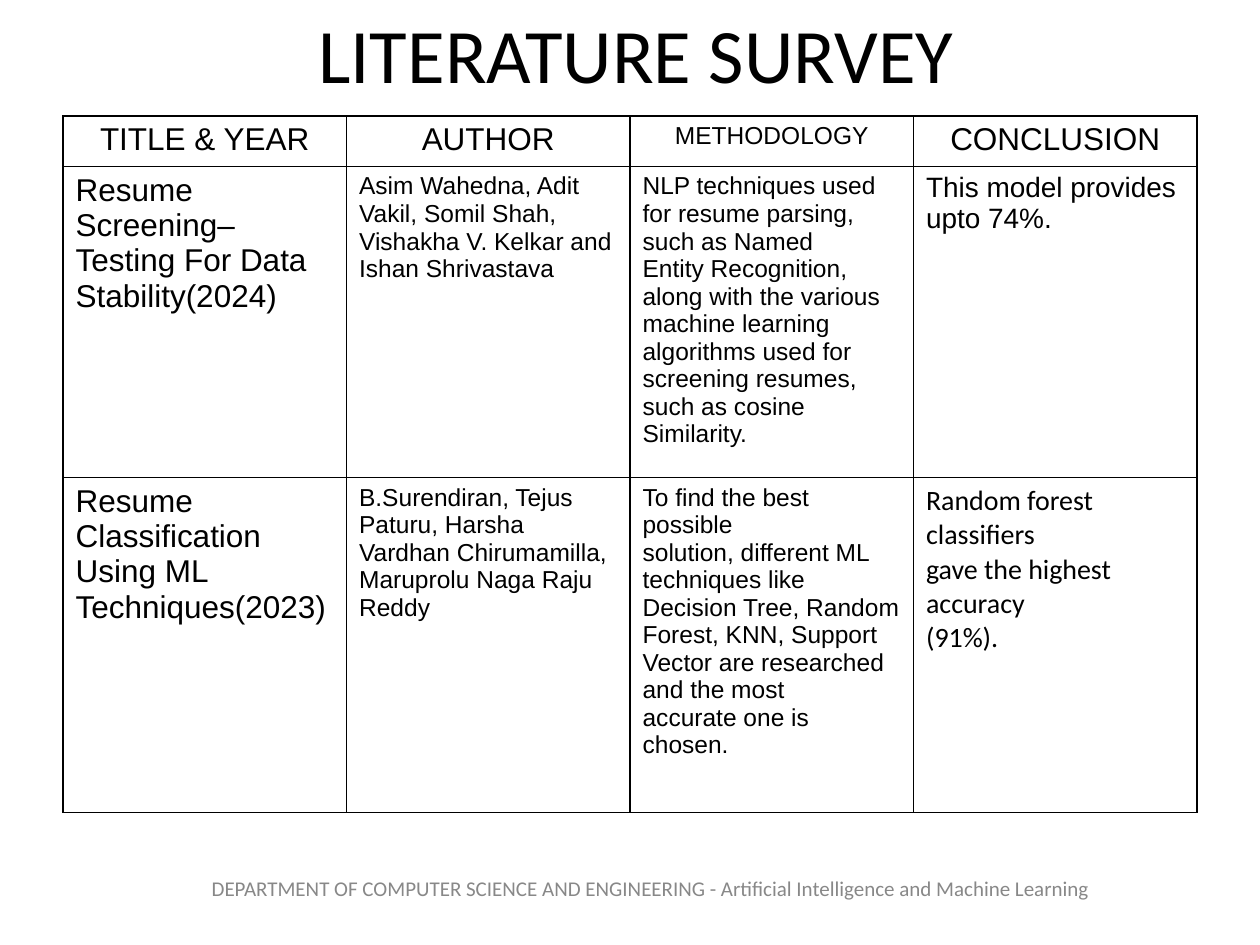
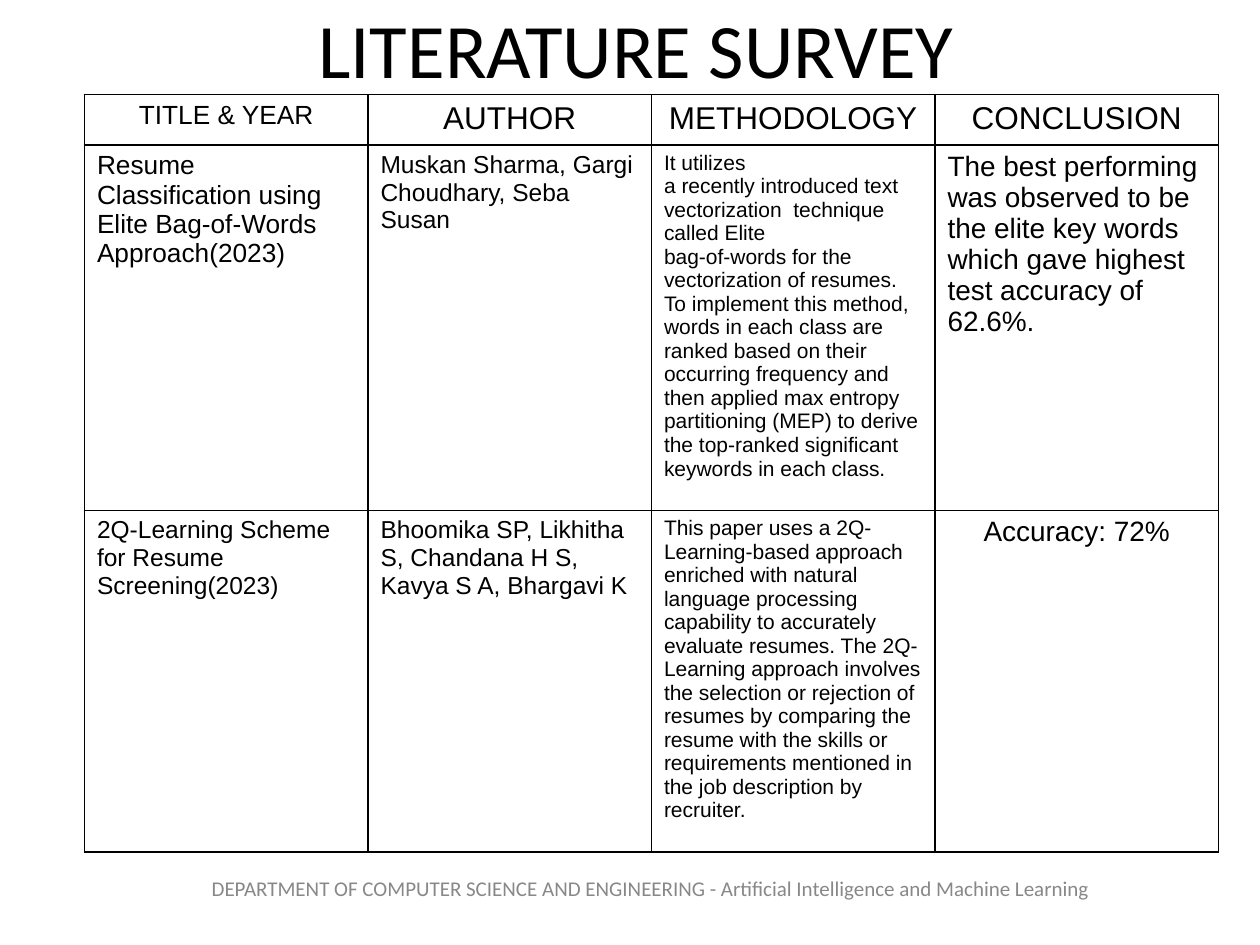
from dataclasses import dataclass

import pptx
import pptx.dml.color
import pptx.enum.text
import pptx.oxml
import pptx.oxml.ns
import pptx.util
from lxml import etree

ALIGN = pptx.enum.text.PP_ALIGN
ANCHOR = pptx.enum.text.MSO_ANCHOR

# Shared look and grid
WIDTH, HEIGHT = 10, 7.5
COLUMN = WIDTH * 0.225
BLACK, GREY = "000000", "888888"
TITLE = "LITERATURE SURVEY"
FOOTER = ("DEPARTMENT OF COMPUTER SCIENCE AND ENGINEERING - "
          "Artificial Intelligence and Machine Learning")
HEADINGS = ("TITLE & YEAR", "AUTHOR", "METHODOLOGY", "CONCLUSION")


@dataclass(frozen=True)
class Entry:
    """Text of one table cell; each line is a paragraph."""
    text: str
    size: int = 14
    font: str = "Arial"
    align: ALIGN = ALIGN.LEFT


@dataclass(frozen=True)
class Survey:
    """One slide of the survey, with lengths in inches."""
    title_top: float
    left: float
    top: float
    row_heights: tuple[float, ...]
    heading_sizes: tuple[int, ...]
    papers: tuple[tuple[Entry, ...], ...]


def colour(value: str) -> pptx.dml.color.RGBColor:
    return pptx.dml.color.RGBColor.from_string(value)


def place(sp, left: float, top: float, width: float, height: float) -> None:
    box = dict(left=left, top=top, width=width, height=height)
    for name, value in box.items():
        setattr(sp, name, pptx.util.Inches(value))


def write(tf, entry: Entry, ink: str = BLACK) -> None:
    tf.word_wrap = True
    for i, line in enumerate(entry.text.split("\n")):
        p = tf.paragraphs[0] if i == 0 else tf.add_paragraph()
        p.alignment = entry.align
        r = p.add_run()
        r.text = line
        for name, value in dict(size=pptx.util.Pt(entry.size), name=entry.font).items():
            setattr(r.font, name, value)
        r.font.color.rgb = colour(ink)


def add_borders(cell) -> None:
    tc_pr = cell._tc.get_or_add_tcPr()
    for i, side in enumerate(("lnL", "lnR", "lnT", "lnB")):
        ln = etree.Element(pptx.oxml.ns.qn(f"a:{side}"), w=str(pptx.util.Pt(1)))
        fill = etree.SubElement(ln, pptx.oxml.ns.qn("a:solidFill"))
        etree.SubElement(fill, pptx.oxml.ns.qn("a:srgbClr"), val=BLACK)
        tc_pr.insert(i, ln)


def add_title(s, top: float) -> None:
    sp = s.shapes.title
    place(sp, 0, top, WIDTH * 0.9, HEIGHT / 6)
    tf = sp.text_frame
    # The left inset moves the centred title towards the table's middle
    tf.margin_left = pptx.util.Inches(1.2)
    tf.vertical_anchor = ANCHOR.MIDDLE
    tf.auto_size = pptx.enum.text.MSO_AUTO_SIZE.NONE
    write(tf, Entry(TITLE, 44, "Calibri", ALIGN.CENTER))


def add_footer(s) -> None:
    sp = s.shapes.add_textbox(0, 0, 0, 0)
    place(sp, 1.33, 6.95, 7.67, 0.4)
    tf = sp.text_frame
    tf.margin_top = 0
    tf.vertical_anchor = ANCHOR.TOP
    write(tf, Entry(FOOTER, 12, "Calibri", ALIGN.CENTER), GREY)


def add_survey_table(s, survey: Survey) -> None:
    headings = tuple(Entry(text, size, align=ALIGN.CENTER)
                     for text, size in zip(HEADINGS, survey.heading_sizes))
    rows = (headings, *survey.papers)
    box = (survey.left, survey.top, COLUMN * len(HEADINGS), sum(survey.row_heights))
    table = s.shapes.add_table(len(rows), len(HEADINGS),
                               *map(pptx.util.Inches, box)).table
    for name in ("first_row", "horz_banding"):
        setattr(table, name, False)
    for row, height, entries in zip(table.rows, survey.row_heights, rows):
        row.height = pptx.util.Inches(height)
        for cell, entry in zip(row.cells, entries):
            cell.fill.background()
            add_borders(cell)
            write(cell.text_frame, entry)


# Content
SURVEYS = (
    Survey(
        title_top=-0.21, left=0.5, top=0.92,
        row_heights=(0.38, 2.47, 2.66), heading_sizes=(18, 18, 14, 18),
        papers=(
            (Entry("Resume Screening–Testing For Data Stability(2024)", 18),
             Entry("Asim Wahedna, Adit Vakil, Somil Shah, Vishakha V. Kelkar "
                   "and Ishan Shrivastava"),
             Entry("NLP techniques used for resume parsing, such as Named\n"
                   "Entity Recognition, along with the various machine learning\n"
                   "algorithms used for screening resumes, such as cosine\n"
                   "Similarity."),
             Entry("This model provides upto 74%.", 16)),
            (Entry("Resume Classification Using ML Techniques(2023)", 18),
             Entry("B.Surendiran, Tejus Paturu, Harsha Vardhan Chirumamilla, "
                   "Maruprolu Naga Raju Reddy"),
             Entry("To find the best possible\n"
                   "solution, different ML techniques like Decision Tree, Random\n"
                   "Forest, KNN, Support Vector are researched and the most\n"
                   "accurate one is chosen."),
             Entry("Random forest classifiers\ngave the highest accuracy\n(91%).",
                   16, "Calibri")),
        ),
    ),
    Survey(
        title_top=-0.25, left=0.67, top=0.75,
        row_heights=(0.38, 2.71, 2.71), heading_sizes=(15, 18, 18, 18),
        papers=(
            (Entry("Resume Classification using Elite Bag-of-Words Approach(2023)", 15),
             Entry("Muskan Sharma, Gargi Choudhary, Seba Susan"),
             Entry("It utilizes\n"
                   "a recently introduced text vectorization  technique called Elite\n"
                   "bag-of-words for the vectorization of resumes. To implement this "
                   "method, words in each class are ranked based on their occurring "
                   "frequency and then applied max entropy partitioning (MEP) to "
                   "derive the top-ranked significant\n"
                   "keywords in each class.", 12),
             Entry("The best performing was observed to be the elite key words "
                   "which gave highest test accuracy of 62.6%.", 16)),
            (Entry("2Q-Learning Scheme for Resume Screening(2023)"),
             Entry("Bhoomika SP, Likhitha S, Chandana H S, Kavya S A, Bhargavi K"),
             Entry("This paper uses a 2Q-Learning-based approach enriched with "
                   "natural language processing capability to accurately evaluate "
                   "resumes. The 2Q-Learning approach involves the selection or "
                   "rejection of resumes by comparing the resume with the skills or "
                   "requirements mentioned in the job description by recruiter.", 12),
             Entry("Accuracy: 72%", 16, align=ALIGN.CENTER)),
        ),
    ),
)


def main() -> None:
    prs = pptx.Presentation()
    prs.slide_width = pptx.util.Inches(WIDTH)
    prs.slide_height = pptx.util.Inches(HEIGHT)
    title_only = prs.slide_layouts.get_by_name("Title Only")
    for survey in SURVEYS:
        s = prs.slides.add_slide(title_only)
        add_footer(s)
        add_title(s, survey.title_top)
        add_survey_table(s, survey)
    prs.save("out.pptx")


if __name__ == "__main__":
    main()
